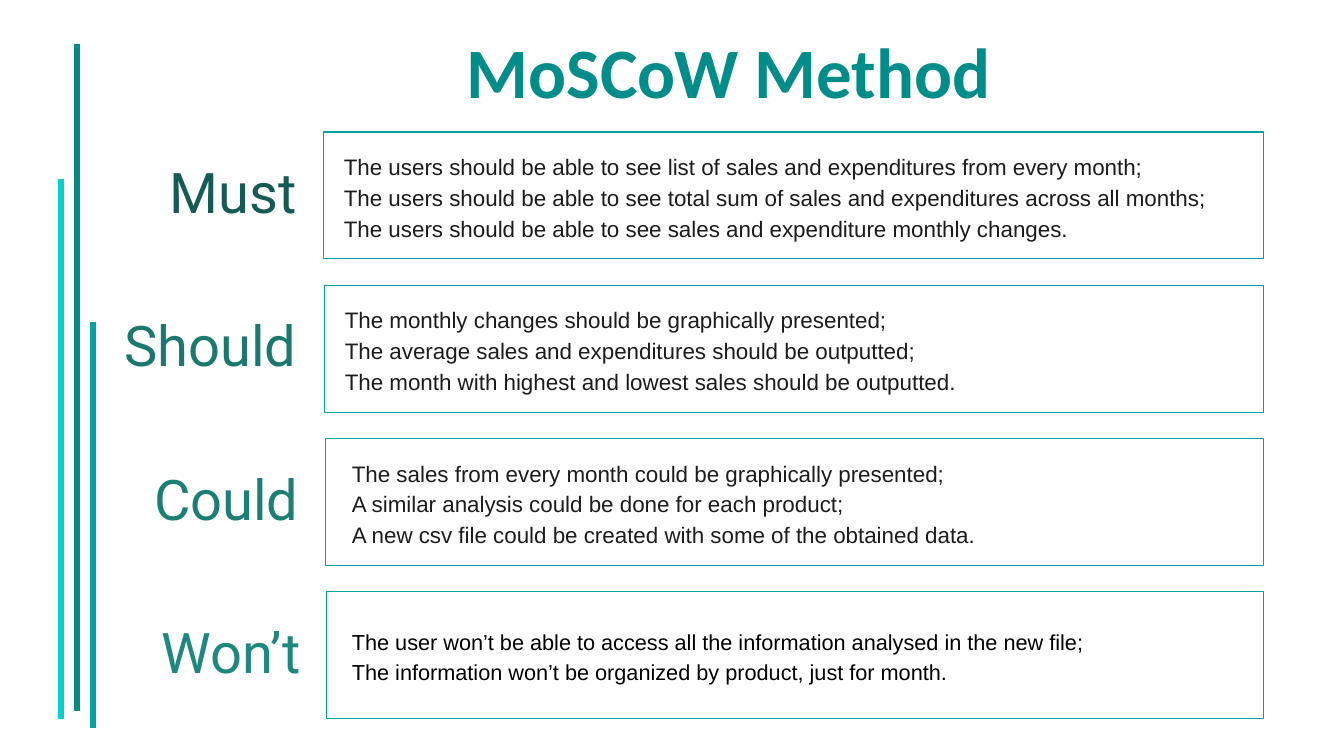
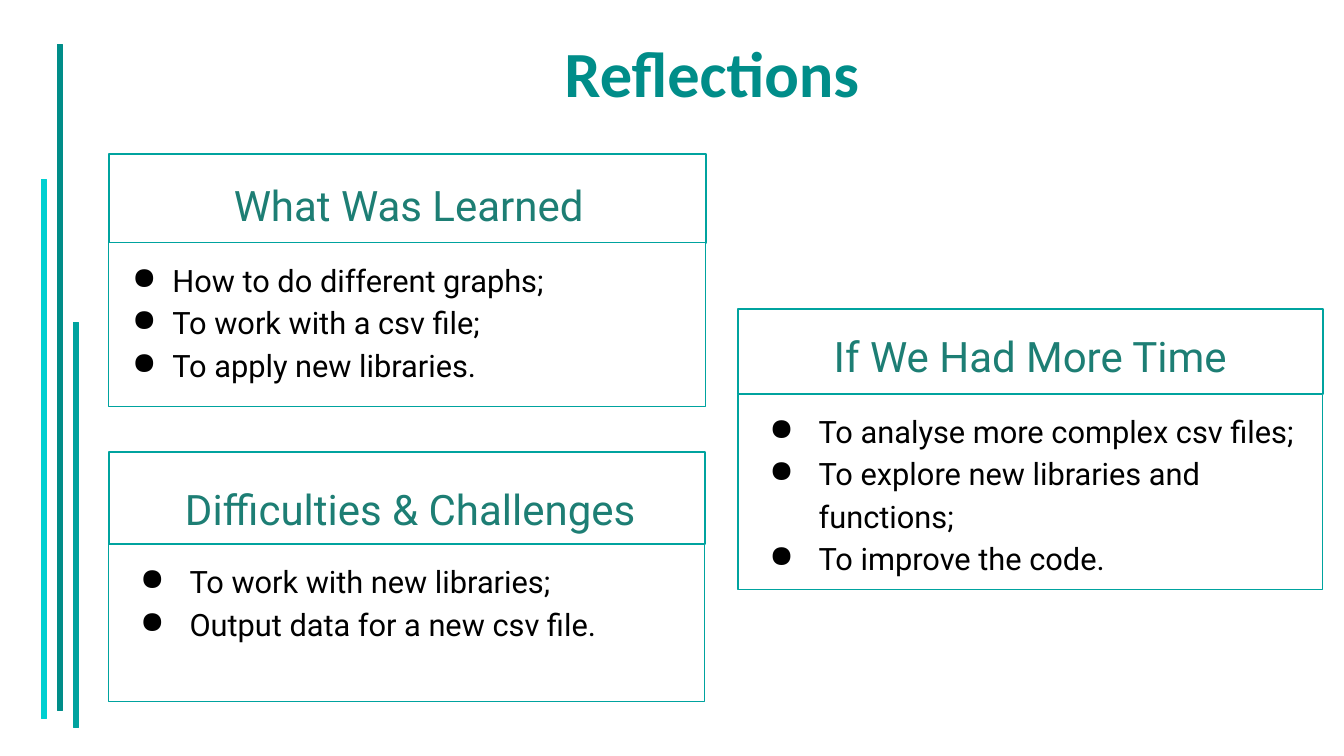
from lxml import etree
from pptx import Presentation
from pptx.dml.color import RGBColor
from pptx.enum.shapes import MSO_SHAPE
from pptx.enum.text import MSO_ANCHOR, PP_ALIGN
from pptx.oxml.ns import qn
from pptx.util import Inches, Pt

RECT = MSO_SHAPE.RECTANGLE
TOP, MIDDLE = MSO_ANCHOR.TOP, MSO_ANCHOR.MIDDLE
LEFT, CENTER, RIGHT = PP_ALIGN.LEFT, PP_ALIGN.CENTER, PP_ALIGN.RIGHT

WHITE = RGBColor(0xFF, 0xFF, 0xFF)
BLACK = RGBColor(0x00, 0x00, 0x00)
INK = RGBColor(0x1D, 0x1C, 0x1D)
DEEP = RGBColor(0x00, 0x8D, 0x89)
TEAL = RGBColor(0x00, 0xA3, 0x9F)
CYAN = RGBColor(0x00, 0xD0, 0xD1)
HEADING = RGBColor(0x1D, 0x7E, 0x74)
MUST = RGBColor(0x15, 0x5B, 0x54)
SHOULD = RGBColor(0x1B, 0x78, 0x6E)
WONT = RGBColor(0x1F, 0x88, 0x7E)

BARS = [(0.16, 0.44, 6.61, DEEP), (0.32, 3.2, 4.02, TEAL), (0, 1.78, 5.35, CYAN)]
BAR_WIDTH = 0.05

PRIORITIES = [
    ("Must", MUST, 3.07, 3.28, 16, INK, [
        "The users should be able to see list of sales and expenditures from every month;",
        "The users should be able to see total sum of sales and expenditures across all months;",
        "The users should be able to see sales and expenditure monthly changes."]),
    ("Should", SHOULD, 3.07, 3.29, 16, INK, [
        "The monthly changes should be graphically presented;",
        "The average sales and expenditures should be outputted;",
        "The month with highest and lowest sales should be outputted."]),
    ("Could", HEADING, 3.09, 3.36, 16, INK, [
        "The sales from every month could be graphically presented;",
        "A similar analysis could be done for each product;",
        "A new csv file could be created with some of the obtained data."]),
    ("Won’t", WONT, 3.11, 3.36, 15.5, BLACK, [
        "The user won’t be able to access all the information analysed in the new file;",
        "The information won’t be organized by product, just for month."]),
]
ROW_TOP, ROW_PITCH, ROW_HEIGHT = 1.31, 1.52, 1.26
ROW_LEFT, ROW_STEP, ROW_RIGHT = 3.21, 0.01, 12.53
LABEL_LEFT = 0.7

CARDS = [
    ("What Was Learned", (1.08, 1.53, 5.92), 0.88, 1.62, (1.39, 1.65, 5.33), (0.5, -0.4), [
        "How to do different graphs;",
        "To work with a csv file;",
        "To apply new libraries."]),
    ("Difficulties & Challenges", (1.08, 4.48, 5.91), 0.92, 1.56, (1.24, 4.67, 5.66), (0.67, -0.49), [
        "To work with new libraries;",
        "Output data for a new csv file."]),
    ("If We Had More Time", (7.32, 3.07, 5.8), 0.84, 1.94, (7.63, 3.15, 5.18), (0.67, -0.49), [
        "To analyse more complex csv files;",
        "To explore new libraries and functions;",
        "To improve the code."]),
]
HEADING_HEIGHT = 0.64


def add_rect(s, box, fill, line, weight):
    sp = s.shapes.add_shape(RECT, *map(Inches, box))
    sp.shadow.inherit = False
    sp.fill.solid()
    sp.fill.fore_color.rgb = fill
    sp.line.color.rgb = line
    sp.line.width = Pt(weight)


def add_bullet(p, indent):
    pPr = p._p.get_or_add_pPr()
    for key, value in zip(("marL", "indent"), indent):
        pPr.set(key, str(Inches(value)))
    color = etree.SubElement(pPr, qn("a:buClr"))
    etree.SubElement(color, qn("a:srgbClr")).set("val", str(BLACK))
    etree.SubElement(pPr, qn("a:buChar")).set("char", "●")


def add_text(s, box, lines, font, color, align=LEFT, spacing=1.0,
             anchor=MIDDLE, inset=(0.13, 0.07), indent=None):
    tf = s.shapes.add_textbox(*map(Inches, box)).text_frame
    side, edge = map(Inches, inset)
    frame = {"word_wrap": True, "vertical_anchor": anchor,
             "margin_left": side, "margin_right": side,
             "margin_top": edge, "margin_bottom": edge}
    for name, value in frame.items():
        setattr(tf, name, value)
    for i, line in enumerate(lines):
        p = tf.add_paragraph() if i else tf.paragraphs[0]
        p.alignment = align
        p.line_spacing = spacing
        if indent:
            add_bullet(p, indent)
        r = p.add_run()
        r.text = line
        for name, value in font.items():
            setattr(r.font, name, value)
        r.font.color.rgb = color


def text_font(name, size, bold=False):
    return {"name": name, "size": Pt(size), "bold": bold}


def add_slide(prs, title, title_box, size, bars_left):
    s = prs.slides.add_slide(prs.slide_layouts[6])
    for offset, top, height, color in BARS:
        add_rect(s, (bars_left + offset, top, BAR_WIDTH, height), color, color, 1)
    add_text(s, title_box, [title], text_font("Calibri", size, True), DEEP,
             CENTER, inset=(0.1, 0.05))
    return s


def build_priorities(prs):
    s = add_slide(prs, "MoSCoW Method", (3.94, 0.16, 6.58, 1.07), 50.6, 0.58)
    for i, (label, color, label_right, text_left, size, ink, lines) in enumerate(PRIORITIES):
        top = ROW_TOP + i * ROW_PITCH
        left = ROW_LEFT + i * ROW_STEP
        add_text(s, (LABEL_LEFT, top + 0.09, label_right - LABEL_LEFT, 1.08), [label],
                 text_font("Roboto", 40), color, RIGHT, 0.9)
        add_rect(s, (left, top, ROW_RIGHT - left, ROW_HEIGHT), WHITE, TEAL, 0.75)
        add_text(s, (text_left, top, ROW_RIGHT - text_left, ROW_HEIGHT), lines,
                 text_font("Arial", size), ink, spacing=1.15)


def build_reflections(prs):
    s = add_slide(prs, "Reflections", (5.24, 0.22, 3.64, 0.98), 46, 0.41)
    for heading, (left, top, width), head, body, heading_box, indent, lines in CARDS:
        body_box = (left, top + head, width, body)
        add_rect(s, (left, top, width, head), WHITE, TEAL, 1.5)
        add_text(s, (*heading_box, HEADING_HEIGHT), [heading],
                 text_font("Roboto", 30), HEADING, CENTER, anchor=TOP, inset=(0.13, 0.13))
        add_rect(s, body_box, WHITE, TEAL, 0.75)
        add_text(s, body_box, lines, text_font("Roboto", 22), BLACK, spacing=1.15,
                 anchor=TOP, inset=(0.13, 0.13), indent=indent)


def main():
    prs = Presentation()
    prs.slide_width, prs.slide_height = Inches(13.33), Inches(7.5)
    build_priorities(prs)
    build_reflections(prs)
    prs.save("out.pptx")


if __name__ == "__main__":
    main()
